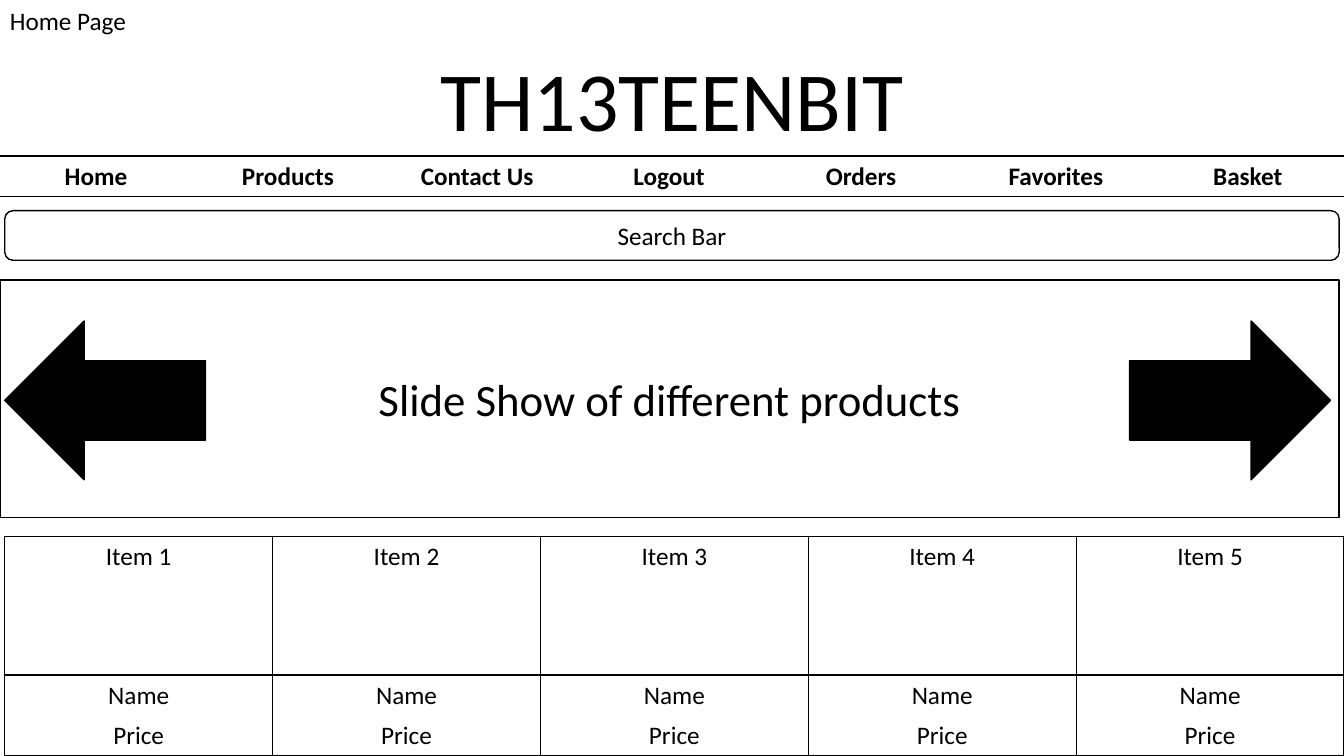
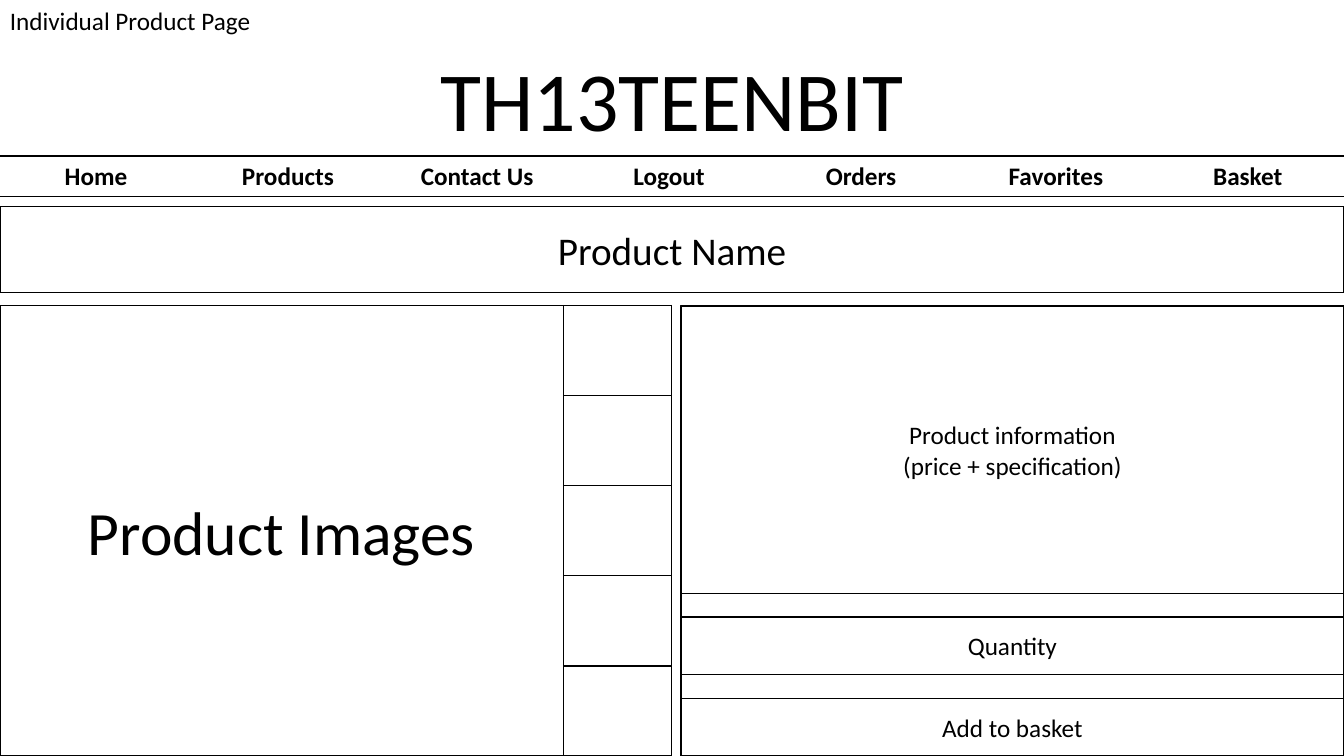
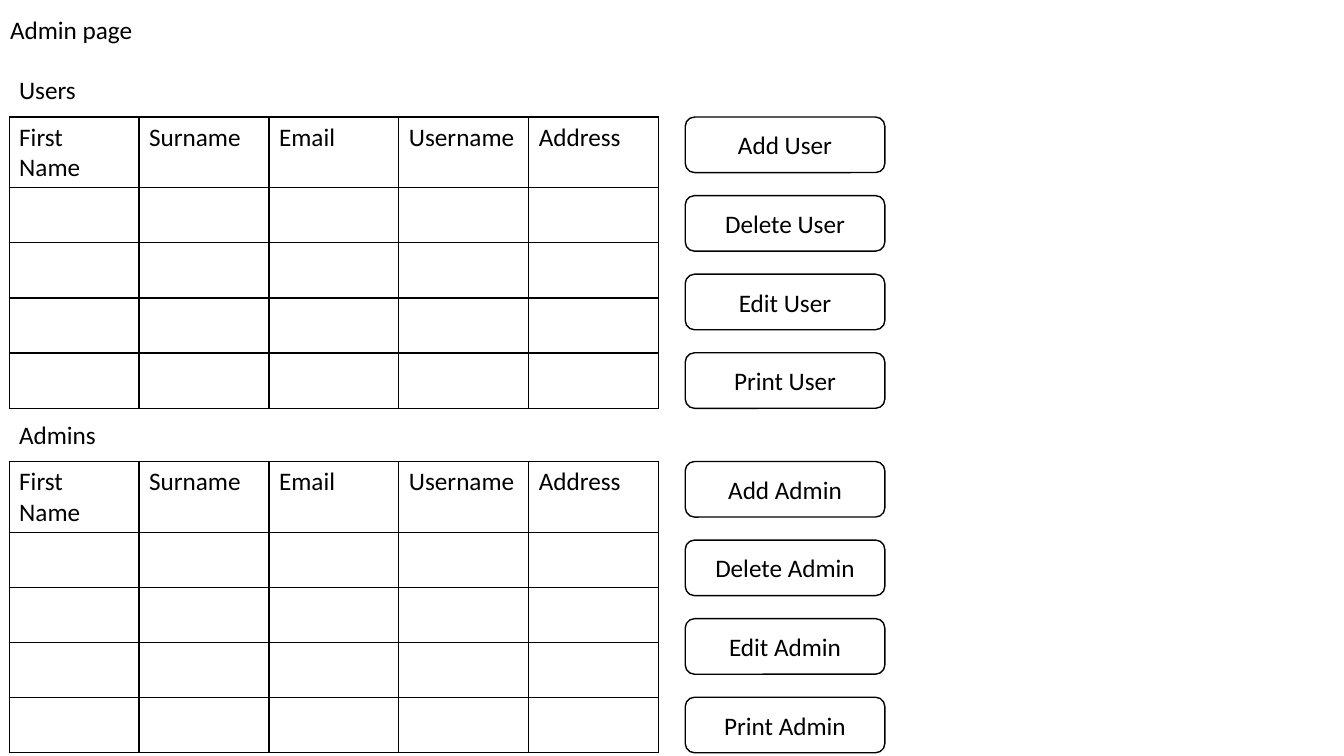
"""Draws the wireframes of a web shop: home, product and admin pages."""
from lxml import etree
from pptx import Presentation
from pptx.dml.color import RGBColor
from pptx.enum.shapes import MSO_SHAPE
from pptx.enum.text import MSO_ANCHOR, MSO_AUTO_SIZE, PP_ALIGN
from pptx.oxml.ns import qn
from pptx.util import Cm, Pt

RECT, ROUND = MSO_SHAPE.RECTANGLE, MSO_SHAPE.ROUNDED_RECTANGLE
NEXT, BACK = MSO_SHAPE.RIGHT_ARROW, MSO_SHAPE.LEFT_ARROW
LEFT, MID = PP_ALIGN.LEFT, PP_ALIGN.CENTER
TOP, CENTRE = MSO_ANCHOR.TOP, MSO_ANCHOR.MIDDLE
NO_FIT, GROW = MSO_AUTO_SIZE.NONE, MSO_AUTO_SIZE.SHAPE_TO_FIT_TEXT

INK, PAPER = "000000", "FFFFFF"
FONT = "Calibri"
WIDE, HIGH = 33.87, 19.05
ALL = "LRTB"


def write(frame, text, size=18, align=MID, bold=False):
    for i, line in enumerate(text.split("\n")):
        para = frame.paragraphs[0] if i == 0 else frame.add_paragraph()
        para.alignment = align
        run = para.add_run()
        run.text = line
        run.font.name = FONT
        run.font.size = Pt(size)
        run.font.bold = bold
        run.font.color.rgb = RGBColor.from_string(INK)


def box(shapes, kind, x, y, w, h, text="", size=18, fill=PAPER):
    shape = shapes.add_shape(kind, Cm(x), Cm(y), Cm(w), Cm(h))
    shape.shadow.inherit = False
    shape.fill.solid()
    shape.fill.fore_color.rgb = RGBColor.from_string(fill)
    shape.line.color.rgb = RGBColor.from_string(INK)
    shape.line.width = Pt(1)
    if text:
        shape.text_frame.vertical_anchor = CENTRE
        write(shape.text_frame, text, size)


deck = Presentation()
deck.slide_width, deck.slide_height = Cm(WIDE), Cm(HIGH)

shop = ("TH13TEENBIT", 0, 1.02, WIDE, 2.9, 60, MID, CENTRE)
admin = ("Admin page", 0, 0.23, 4.04, 1.02, 18, LEFT, TOP)
pages = []
for text, x, y, w, h, size, align, anchor in (shop, shop, admin):
    page = deck.slides.add_slide(deck.slide_layouts[5])
    title = page.shapes.title
    title.left, title.top, title.width, title.height = Cm(x), Cm(y), Cm(w), Cm(h)
    title.text_frame.auto_size = NO_FIT
    title.text_frame.vertical_anchor = anchor
    write(title.text_frame, text, size, align)
    pages.append(page.shapes)
home, item, staff = pages

nav = [(1.02, "TB", ["Home", "Products", "Contact Us ", "Logout ", "Orders ",
                     "Favorites", "Basket"])]
labels = [(home, 0, 0, 6.7, "Home Page"),
          (item, 0, 0, 6.7, "Individual Product Page")]
grids = [(page, 0, 3.93, WIDE, nav, MID, True) for page in (home, item)]

# Home page
box(home, ROUND, 0.12, 5.31, 33.63, 1.25, "Search Bar")
box(home, RECT, 0, 7.06, 33.75, 5.98, "Slide Show of different products", 32)
for kind, x in ((BACK, 0.12), (NEXT, 28.47)):
    box(home, kind, x, 8.09, 5.06, 4, fill=INK)
goods = [(3.5, ALL, [f"Item {n}" for n in range(1, 6)]),
         (1.02, "LRT", ["Name"] * 5),
         (1.02, "LRB", ["Price"] * 5)]
grids.append((home, 0.12, 13.51, 33.75, goods, MID, False))

# Product page
box(item, RECT, 0, 5.2, WIDE, 2.17, "Product Name", 28)
box(item, RECT, 0, 7.7, 14.2, 11.35, "Product Images", 44)
thumbs = [(2.27, ALL, [""])] * 5
grids.append((item, 14.2, 7.7, 2.72, thumbs, MID, False))
for y, h, text in ((7.7, 11.35, ""),
                   (7.72, 7.24, "Product information\n(price + specification)"),
                   (15.55, 1.45, "Quantity"),
                   (17.6, 1.45, "Add to basket")):
    box(item, RECT, 17.16, y, 16.71, h, text)

# Admin page
fields = ["First Name", "Surname", "Email", "Username", "Address"]
people = [(1.78, ALL, fields)] + [(1.39, ALL, [""] * 5)] * 4
for role, y in (("User", 2.95), ("Admin", 11.63)):
    labels.append((staff, 0.23, y - 1.19, 3.28, role + "s"))
    grids.append((staff, 0.23, y, 16.37, people, LEFT, False))
    group = staff.add_group_shape()
    for i, verb in enumerate(("Add", "Delete", "Edit", "Print")):
        box(group.shapes, ROUND, 17.27, y + i * 1.98, 5.03, 1.4, f"{verb} {role}")

for page, x, y, w, text in labels:
    frame = page.add_textbox(Cm(x), Cm(y), Cm(w), Cm(1.02)).text_frame
    frame.word_wrap = True
    frame.auto_size = GROW
    write(frame, text, align=LEFT)

for page, x, y, w, rows, align, bold in grids:
    count = len(rows[0][2])
    high = sum(row[0] for row in rows)
    table = page.add_table(len(rows), count, Cm(x), Cm(y), Cm(w), Cm(high)).table
    table.first_row = table.horz_banding = False
    for col in table.columns:
        col.width = Cm(w / count)
    for r, (h, sides, words) in enumerate(rows):
        table.rows[r].height = Cm(h)
        for c, word in enumerate(words):
            cell = table.cell(r, c)
            if word:
                write(cell.text_frame, word, align=align, bold=bold)
            props = cell._tc.get_or_add_tcPr()
            for side in ALL:
                line = etree.SubElement(props, qn("a:ln" + side), w=str(Pt(1)))
                if side in sides:
                    paint = etree.SubElement(line, qn("a:solidFill"))
                    etree.SubElement(paint, qn("a:srgbClr"), val=INK)
                else:
                    etree.SubElement(line, qn("a:noFill"))
            cell.fill.background()

deck.save("out.pptx")
